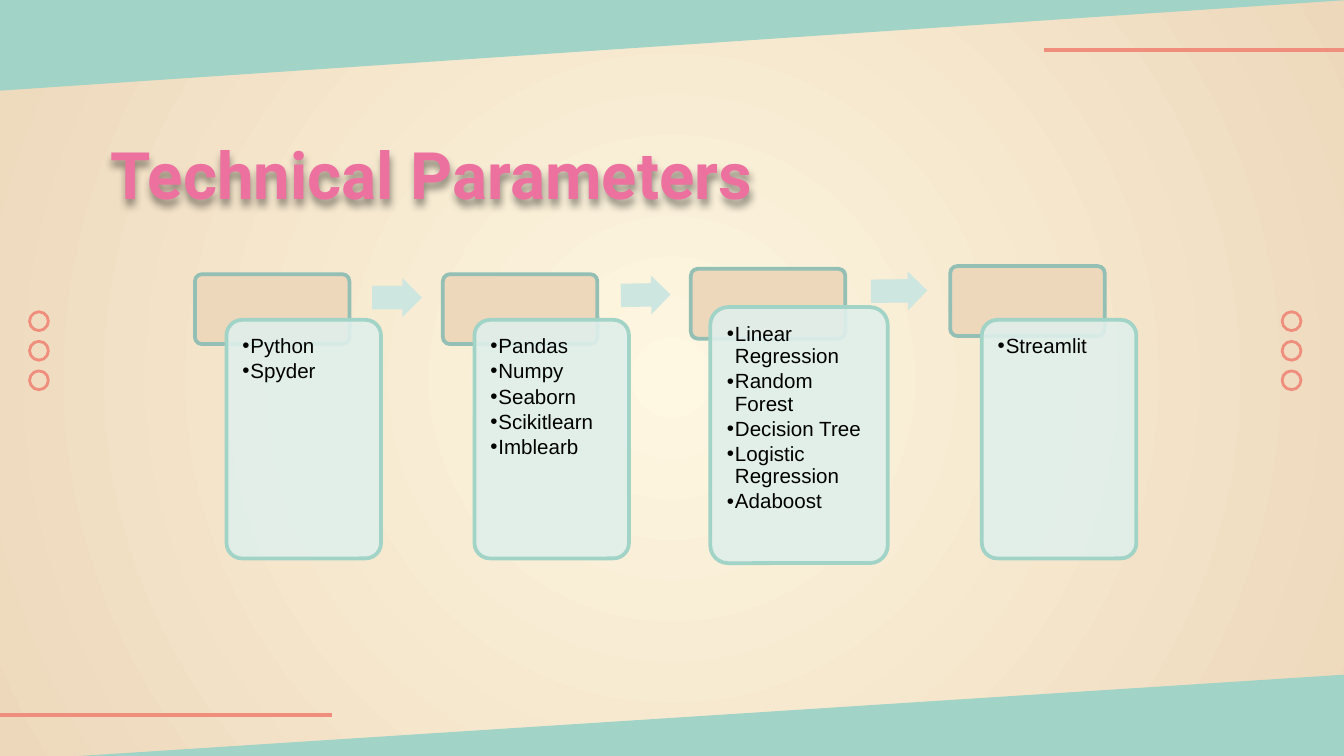
from lxml import etree
from pptx import Presentation, util as u
from pptx.dml.color import RGBColor
from pptx.enum import shapes, text
from pptx.oxml import parse_xml
from pptx.oxml.ns import nsdecls, qn

rgb = RGBColor.from_string
MSO = shapes.MSO_SHAPE
TEAL, CORAL, SAND = "A2D3C7", "EF8E7D", "EDD8BB"

prs = Presentation()
prs.slide_width = u.Inches(10)
prs.slide_height = prs.slide_width * 9 // 16
cell = prs.slide_width / 100
s = prs.slides.add_slide(prs.slide_layouts[5])


def add_box(kind, x, y, w, h, fill=None, line=None, weight=2, rotation=0, adj=()):
    sp = s.shapes.add_shape(kind, *(round(v * cell) for v in (x, y, w, h)))
    sp.shadow.inherit = False
    sp.rotation = rotation
    for i, value in enumerate(adj):
        sp.adjustments[i] = value
    if fill:
        sp.fill.solid()
        sp.fill.fore_color.rgb = rgb(fill)
    else:
        sp.fill.background()
    if line:
        sp.line.color.rgb = rgb(line)
        sp.line.width = u.Pt(weight)
    else:
        sp.line.fill.background()
    return sp


def add_text(sp, lines, size, font, color, bold=False, align=text.PP_ALIGN.LEFT,
             inset=(0.85, 0.85), spacing=1.0, after=0, bullet=None):
    tf = sp.text_frame
    tf.word_wrap = True
    tf.auto_size = text.MSO_AUTO_SIZE.NONE
    tf.vertical_anchor = text.MSO_ANCHOR.TOP
    tf.margin_left = tf.margin_right = round(inset[0] * cell)
    tf.margin_top = tf.margin_bottom = round(inset[1] * cell)
    for i, line in enumerate(lines):
        p = tf.add_paragraph() if i else tf.paragraphs[0]
        p.alignment, p.line_spacing, p.space_after = align, spacing, u.Pt(after)
        p.space_before = u.Pt(0)
        r = p.add_run()
        r.text = line
        r.font.size, r.font.name, r.font.bold = u.Pt(size), font, bold
        r.font.color.rgb = rgb(color)
        if bullet:
            pPr = p._p.get_or_add_pPr()
            indent = round(0.6 * cell)
            pPr.set("marL", str(indent))
            pPr.set("indent", str(-indent))
            etree.SubElement(pPr, qn("a:buFont")).set("typeface", font)
            etree.SubElement(pPr, qn("a:buChar")).set("char", bullet)


bg = s.background.fill
bg.gradient()
for stop, color, position in zip(bg.gradient_stops, ("FEF7E1", SAND), (0, 1)):
    stop.color.rgb = rgb(color)
    stop.position = position
lin = next(s.element.iter(qn("a:lin")))
lin.getparent().replace(lin, parse_xml(
    f'<a:path {nsdecls("a")} path="circle">'
    '<a:fillToRect l="50000" t="50000" r="50000" b="50000"/></a:path>'))

add_box(MSO.RIGHT_TRIANGLE, 46.2, 2.9, 6.5, 101.1, TEAL, rotation=270)
add_box(MSO.RIGHT_TRIANGLE, 47.1, -47.2, 6.8, 101.1, TEAL, rotation=90)

for x, y in ((77.7, 3.7), (-2, 53.2)):
    ends = (round(v * cell) for v in (x, y, x + 26.7, y))
    rule = s.shapes.add_connector(shapes.MSO_CONNECTOR.STRAIGHT, *ends)
    rule.line.color.rgb = rgb(CORAL)
    rule.line.width = u.Pt(2.25)
    etree.SubElement(rule._element.spPr, qn("a:effectLst"))

for x in (95.4, 2.2):
    for i in range(3):
        add_box(MSO.OVAL, x, 23.2 + 2.2 * i, 1.4, 1.4, line=CORAL, weight=1.5, rotation=90)

title = s.shapes.title
title.left, title.top, title.width, title.height = (
    round(v * cell) for v in (7.2, 9, 49.8, 6.3))
add_text(title, ["Technical Parameters"], 35, "Roboto", "ED719F", bold=True,
         align=text.PP_ALIGN.CENTER, inset=(0, 1))
title._element.spPr.append(parse_xml(
    f'<a:effectLst {nsdecls("a")}><a:outerShdw blurRad="50800" dist="38100" dir="5400000">'
    '<a:srgbClr val="000000"><a:alpha val="40000"/></a:srgbClr></a:outerShdw></a:effectLst>'))

steps = [
    ((14.5, 20.4), (16.85, 23.8, 11.5, 17.75), ["Python", "Spyder"]),
    ((32.95, 20.4), (35.3, 23.8, 11.5, 17.75),
     ["Pandas", "Numpy", "Seaborn", "Scikitlearn", "Imblearb"]),
    ((51.4, 20), (52.85, 22.85, 13.2, 19.05),
     ["Linear Regression", "Random Forest", "Decision Tree", "Logistic Regression", "Adaboost"]),
    ((70.7, 19.8), (73.05, 23.8, 11.5, 17.75), ["Streamlit"]),
]
for header, card, items in steps:
    add_box(MSO.ROUNDED_RECTANGLE, *header, 11.5, 5.2, SAND, "93BFB5", adj=[0.1])
    sp = add_box(MSO.ROUNDED_RECTANGLE, *card, "E0EFEB", TEAL, adj=[0.1])
    tint = sp._element.spPr.find(qn("a:solidFill"))[0]
    etree.SubElement(tint, qn("a:alpha")).set("val", "90000")
    add_text(sp, items, 11, "Arial", "000000", spacing=0.9, after=1.65, bullet="•")

for x, y, w, rotation in ((27.7, 20.7, 3.7, 0), (46.2, 20.5, 3.7, 359), (64.8, 20.2, 4.2, 359.2)):
    add_box(MSO.RIGHT_ARROW, x, y, w, 2.9, "CEE6E0", rotation=rotation, adj=[0.6, 0.5])

prs.save("out.pptx")
